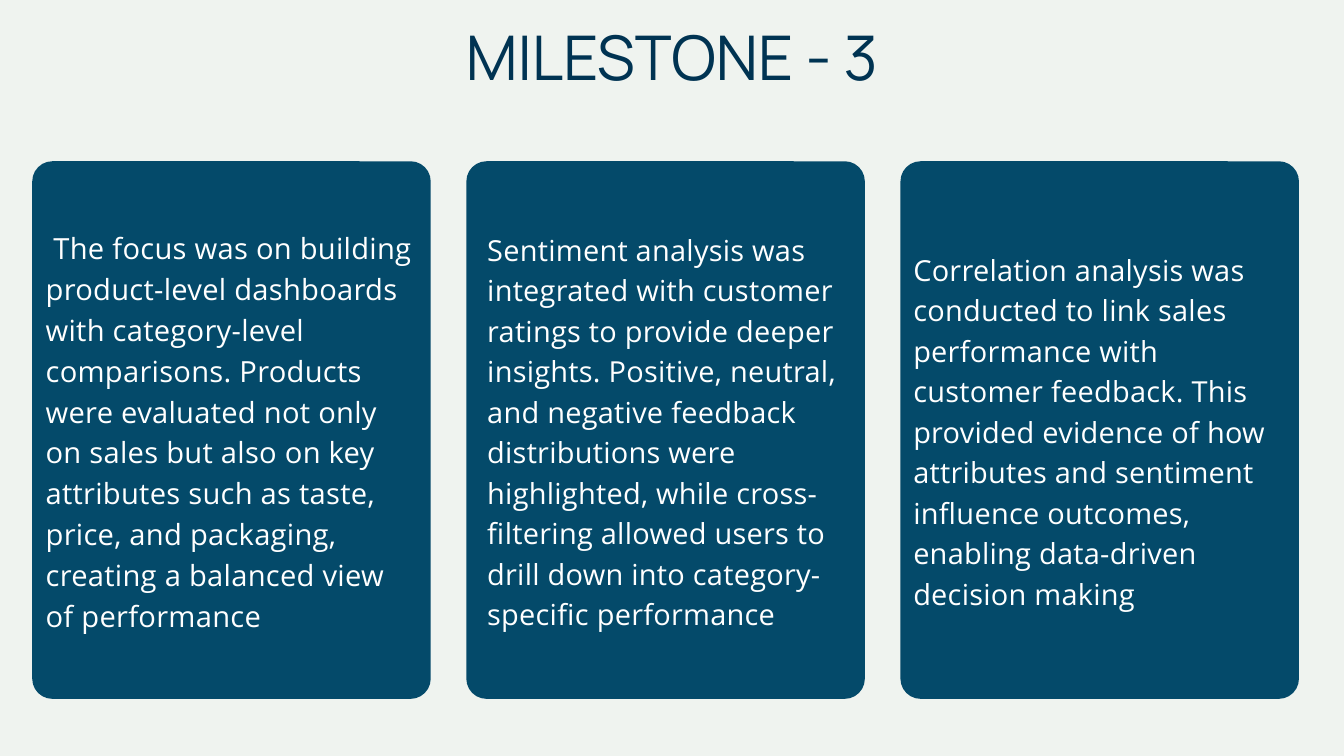
from pptx import Presentation
from pptx.dml.color import RGBColor
from pptx.enum.shapes import MSO_SHAPE as Shape
from pptx.enum.text import MSO_AUTO_SIZE as AutoSize, PP_ALIGN as Align
from pptx.util import Inches, Pt


def color(value):
    return RGBColor.from_string(value)


def add_text(slide, text, box, font, size, line_height, fill, align, spacing=0):
    shape = slide.shapes.add_textbox(*[Inches(length) for length in box])
    text_frame = shape.text_frame
    text_frame.margin_left = text_frame.margin_right = 0
    text_frame.margin_top = text_frame.margin_bottom = 0
    text_frame.word_wrap = True
    text_frame.auto_size = AutoSize.SHAPE_TO_FIT_TEXT
    text_frame.text = text
    paragraph = text_frame.paragraphs[0]
    paragraph.alignment = align
    paragraph.line_spacing = Pt(line_height)
    run = paragraph.runs[0]
    run.font.name = font
    run.font.size = Pt(size)
    run.font.color.rgb = color(fill)
    if spacing:
        run._r.get_or_add_rPr().set("spc", str(spacing))


presentation = Presentation()
presentation.slide_width = Inches(20)
presentation.slide_height = Inches(11.25)
slide = presentation.slides.add_slide(presentation.slide_layouts[6])
slide.background.fill.solid()
slide.background.fill.fore_color.rgb = color("EFF3EF")

add_text(slide, "MILESTONE - 3", (5.15, 0.49, 9.7, 1),
         "Manrope", 66, 64, "003352", Align.CENTER)

card_left, card_top, card_width, card_height = 0.48, 2.4, 5.93, 8
card_pitch = 6.46
corner_radius = 0.3

cards = [
    (" The focus was on building product-level dashboards with category-level "
     "comparisons. Products were evaluated not only on sales but also on key "
     "attributes such as taste, price, and packaging, creating a balanced view "
     "of performance",
     (0.68, 3.34, 5.54, 6.05), 31.2, 43.8),
    ("Sentiment analysis was integrated with customer ratings to provide deeper "
     "insights. Positive, neutral, and negative feedback distributions were "
     "highlighted, while cross-filtering allowed users to drill down into "
     "category-specific performance",
     (7.25, 3.37, 5.49, 6.01), 31, 43.4),
    ("Correlation analysis was conducted to link sales performance with customer "
     "feedback. This provided evidence of how attributes and sentiment influence "
     "outcomes, enabling data-driven decision making",
     (13.59, 3.67, 5.49, 5.4), 31, 43.4),
]

for index, (text, box, size, line_height) in enumerate(cards):
    card = slide.shapes.add_shape(
        Shape.ROUNDED_RECTANGLE, Inches(card_left + index * card_pitch),
        Inches(card_top), Inches(card_width), Inches(card_height))
    card.adjustments[0] = corner_radius / card_width
    card.shadow.inherit = False
    card.fill.solid()
    card.fill.fore_color.rgb = color("044A6A")
    card.line.fill.background()
    add_text(slide, text, box, "Open Sans", size, line_height,
             "FFFFFF", Align.LEFT, spacing=30)

presentation.save("out.pptx")
